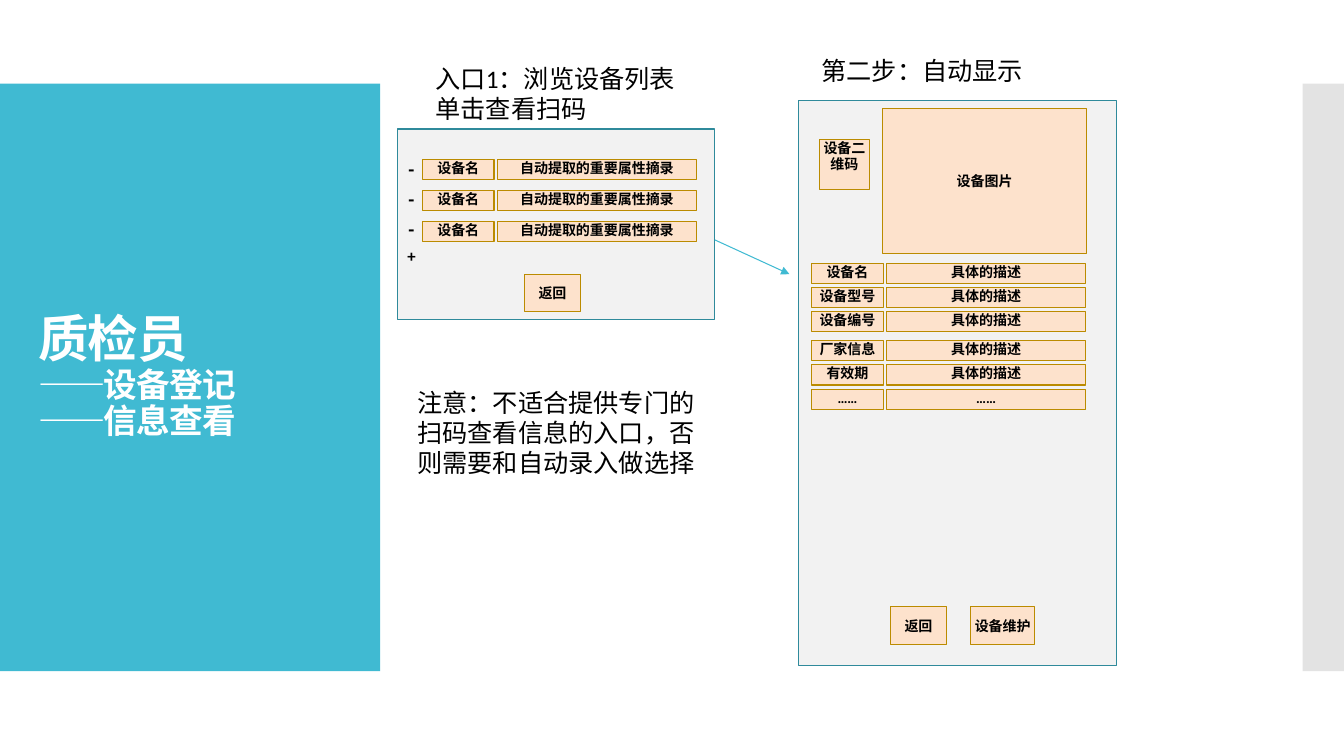
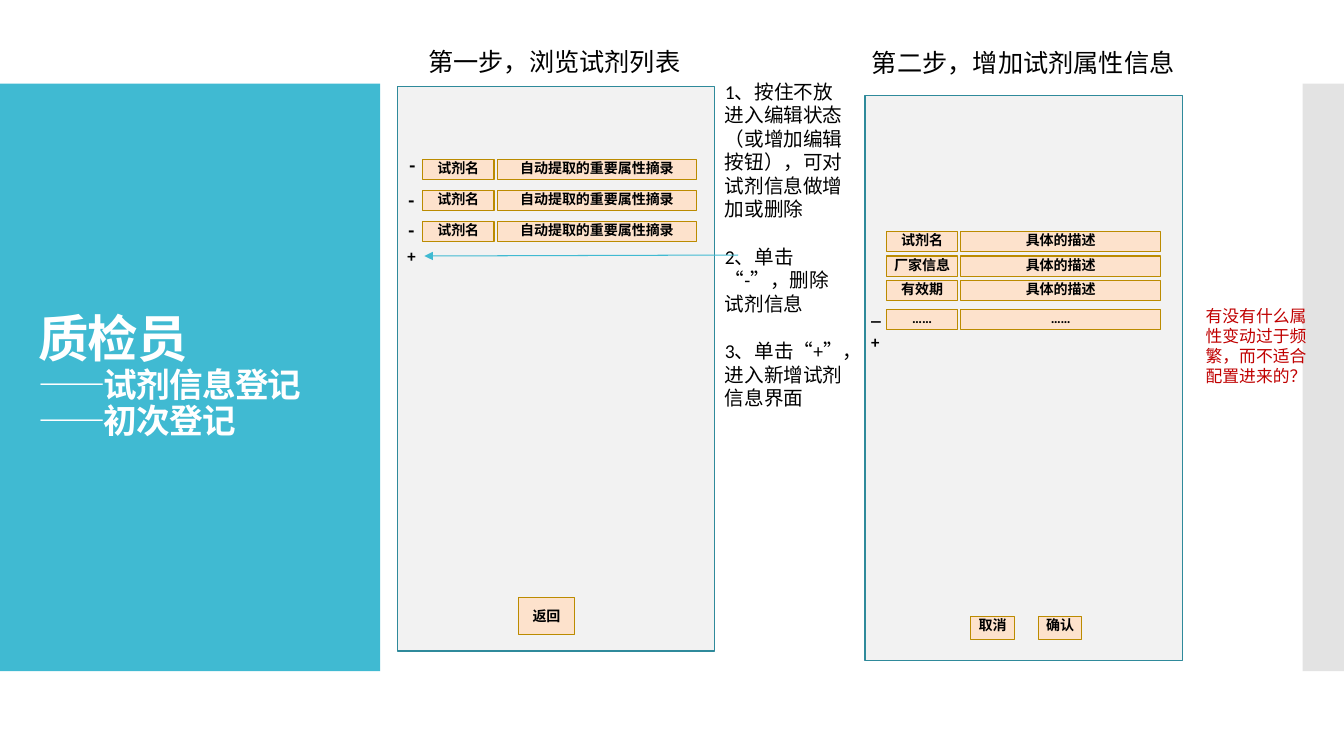
import pptx
import pptx.util
import pptx.dml.color
import pptx.enum.shapes
import pptx.enum.text
import pptx.oxml
import pptx.oxml.ns

PX = 9144  # 100 px to the inch
HUES = {
    "band": "40BAD2", "side": "C8C8C8", "panel": "F2F2F2", "edge": "2F8A9B",
    "box": "FDE2CC", "rim": "BB8B00", "ink": "000000", "white": "FFFFFF",
    "warn": "C00000",
}
FONT = "Calibri"
ALIGN = pptx.enum.text.PP_ALIGN
ANCHOR = pptx.enum.text.MSO_ANCHOR

BANDS = [((0, 83, 377, 583), "band", 100), ((1292, 83, 42, 583), "side", 50)]
TITLE = (28, 123, 322, 503)
BRIEF = "自动提取的重要属性摘录"
DESC = "具体的描述"
MORE = "……"

# panels: place; lists and forms: left, top, labels
# boxes: place, words, anchor; notes: place, words, size, colour
SLIDES = [
    {
        "title": ["质检员", "——设备登记", "——信息查看"],
        "panels": [(792, 100, 315, 560), (394, 128, 315, 189)],
        "lists": [(419, 158, ["设备名"] * 3)],
        "forms": [(805, 261, ["设备名", "设备型号", "设备编号",
                              "厂家信息", "有效期", MORE])],
        "boxes": [
            ((875, 108, 203, 144), "设备图片", "MIDDLE"),
            ((813, 138, 49, 50), "设备二维码", "TOP"),
            ((883, 602, 56, 37), "返回", "MIDDLE"),
            ((963, 602, 63, 37), "设备维护", "MIDDLE"),
            ((520, 272, 56, 37), "返回", "MIDDLE"),
        ],
        "marks": [("-", 405, 156), ("-", 405, 185), ("-", 405, 215),
                  ("+", 404, 244)],
        "notes": [
            ((404, 379, 305, 101),
             "注意：不适合提供专门的扫码查看信息的入口，否则需要和自动录入做选择",
             18, "ink"),
            ((805, 50, 273, 40), "第二步：自动显示", 18, "ink"),
            ((422, 58, 269, 71), "入口1：浏览设备列表单击查看扫码", 18, "ink"),
        ],
        "arrow": (709, 238, 783, 272),
    },
    {
        "title": ["质检员", "——试剂信息登记", "——初次登记"],
        "panels": [(858, 95, 315, 560), (394, 86, 315, 560)],
        "lists": [(419, 158, ["试剂名"] * 3)],
        "forms": [(879, 230, ["试剂名", "厂家信息", "有效期", MORE])],
        "boxes": [
            ((963, 612, 43, 22), "取消", "TOP"),
            ((1030, 612, 43, 22), "确认", "TOP"),
            ((514, 593, 56, 37), "返回", "MIDDLE"),
        ],
        "marks": [("-", 406, 152), ("-", 405, 186), ("-", 405, 216),
                  ("+", 404, 244), ("_", 864, 299), ("+", 864, 329)],
        "notes": [
            ((1186, 298, 134, 91),
             "有没有什么属性变动过于频繁，而不适合配置进来的？", 12, "warn"),
            ((415, 41, 273, 40), "第一步，浏览试剂列表", 18, "ink"),
            ((709, 74, 138, 364), [
                ("1、按住不放进入编辑状态（或增加编辑按钮），可对试剂信息做增加或删除", 14, 0),
                ("2、单击", 14, 17),
                ("“-”，删除试剂信息", 14, 0),
                ("3、单击“+”，进入新增试剂信息界面", 14, 17),
            ], 14, "ink"),
            ((855, 42, 322, 40), "第二步，增加试剂属性信息", 18, "ink"),
        ],
        "arrow": (732, 253, 421, 254),
    },
]


def emu(*spans):
    return [pptx.util.Emu(span * PX) for span in spans]


def hue(name):
    return pptx.dml.color.RGBColor.from_string(HUES[name])


def text(shape, words, size=10, color="ink", bold=False, align=ALIGN.LEFT,
         anchor=ANCHOR.TOP, inset=None, ratio=None, track=None):
    """Fill a shape with a string, or with (words, size, gap before) rows."""
    rows = [(words, size, 0)] if isinstance(words, str) else words
    frame = shape.text_frame
    frame.word_wrap = True
    frame.auto_size = pptx.enum.text.MSO_AUTO_SIZE.NONE
    frame.vertical_anchor = anchor
    if inset is not None:
        frame.margin_left = frame.margin_right = inset
        frame.margin_top = frame.margin_bottom = inset
    for i, (line, points, gap) in enumerate(rows):
        para = frame.add_paragraph() if i else frame.paragraphs[0]
        para.alignment = align
        if gap:
            para.space_before = pptx.util.Pt(gap)
        if ratio:
            para.line_spacing = ratio
        run = para.add_run()
        run.text = line
        run.font.name = FONT
        run.font.size = pptx.util.Pt(points)
        run.font.bold = bold
        run.font.color.rgb = hue(color)
        if track:
            run.font._element.set("spc", str(track))


def rect(slide, place, fill, line=None, width=0.75):
    kind = pptx.enum.shapes.MSO_SHAPE.RECTANGLE
    shape = slide.shapes.add_shape(kind, *emu(*place))
    shape.shadow.inherit = False
    shape.fill.solid()
    shape.fill.fore_color.rgb = hue(fill)
    if line:
        shape.line.color.rgb = hue(line)
        shape.line.width = pptx.util.Pt(width)
    else:
        shape.line.fill.background()
    return shape


def box(slide, place, words, anchor="TOP"):
    text(rect(slide, place, "box", "rim"), words, bold=True,
         align=ALIGN.CENTER, anchor=ANCHOR[anchor], inset=0)


def note(slide, place, words, **style):
    text(slide.shapes.add_textbox(*emu(*place)), words, **style)


def pair(slide, left, top, label, value):
    box(slide, (left, top, 71, 20), label)
    box(slide, (left + 74, top, 198, 20), value)


def arrow(slide, ends):
    kind = pptx.enum.shapes.MSO_CONNECTOR.STRAIGHT
    link = slide.shapes.add_connector(kind, *emu(*ends))
    link.line.color.rgb = hue("band")
    link.line.width = pptx.util.Pt(0.75)
    tag = pptx.oxml.ns.qn
    line = link.line._get_or_add_ln()
    line.append(line.makeelement(tag("a:tailEnd"), {"type": "triangle"}))
    props = link.element.spPr
    props.append(props.makeelement(tag("a:effectLst"), {}))


def frame(layout, slide):
    """Set the title place and move the two bands onto the layout."""
    head = layout.placeholders[0]
    head.left, head.top, head.width, head.height = emu(*TITLE)
    tag = pptx.oxml.ns.qn
    for i, (place, fill, alpha) in enumerate(BANDS):
        band = rect(slide, place, fill)
        if alpha < 100:
            tint = next(band.element.iter(tag("a:srgbClr")))
            tint.append(tint.makeelement(
                tag("a:alpha"), {"val": str(alpha * 1000)}))
        name = next(band.element.iter(tag("p:cNvPr")))
        name.set("id", str(20 + i))
        layout.shapes.element.insert(2 + i, band.element)


def draw(slide, page):
    rows = [(line, 24 if i else 36, 0) for i, line in enumerate(page["title"])]
    text(slide.shapes.title, rows, color="white", bold=True,
         anchor=ANCHOR.MIDDLE, ratio=0.9, track=-60)
    for place in page["panels"]:
        rect(slide, place, "panel", "edge", 0.85)
    for left, top, names in page["lists"]:
        for i, name in enumerate(names):
            pair(slide, left, top + 31 * i, name, BRIEF)
    for left, top, names in page["forms"]:
        for i, name in enumerate(names):
            shift = 5 if i > 2 else 0
            pair(slide, left, top + 24 * i + shift, name,
                 MORE if name == MORE else DESC)
    for place, words, anchor in page["boxes"]:
        box(slide, place, words, anchor)
    for sign, left, top in page["marks"]:
        size, high = (12, 20) if sign == "+" else (14, 24)
        note(slide, (left, top, 17, high), sign, size=size, bold=True, inset=0)
    for place, words, size, color in page["notes"]:
        note(slide, place, words, size=size, color=color)
    arrow(slide, page["arrow"])


def main():
    deck = pptx.Presentation()
    deck.slide_width, deck.slide_height = emu(1333, 750)
    layout = deck.slide_layouts[5]
    for i, page in enumerate(SLIDES):
        slide = deck.slides.add_slide(layout)
        if i == 0:
            frame(layout, slide)
        draw(slide, page)
    deck.save("out.pptx")


if __name__ == "__main__":
    main()
